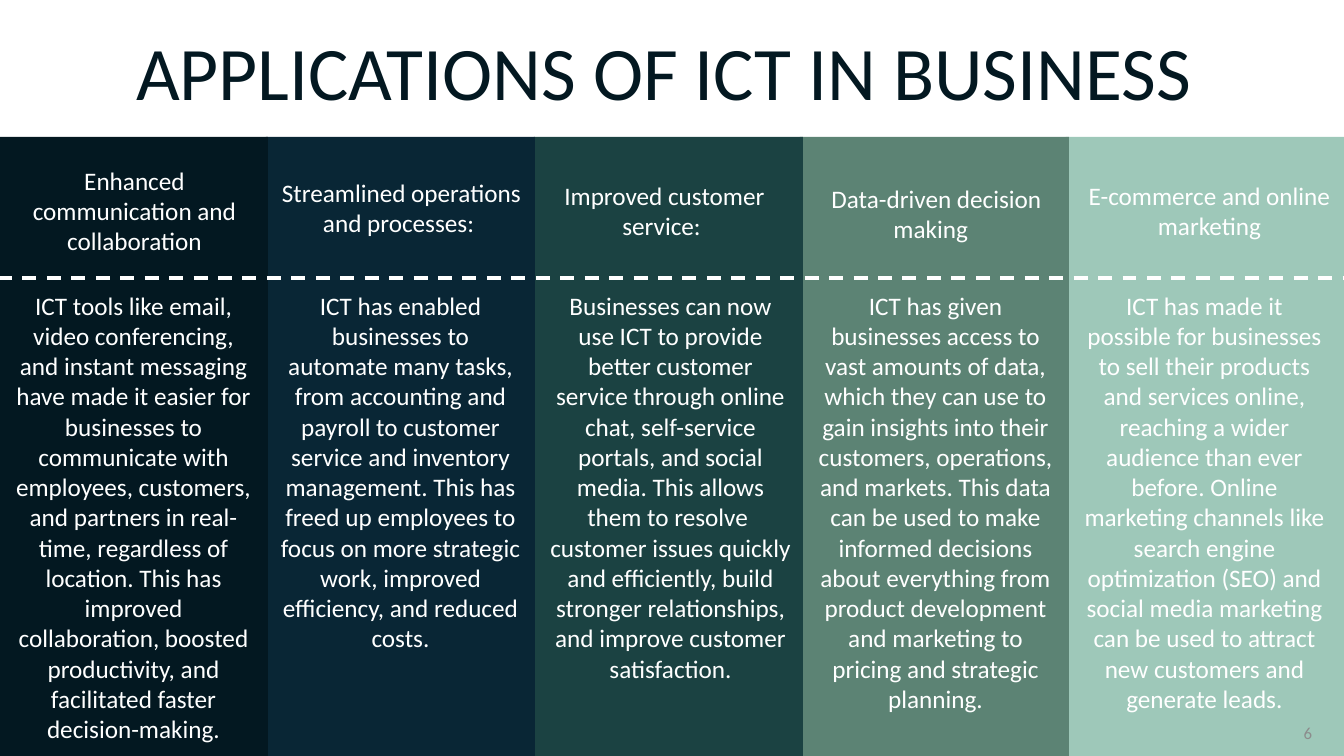
from dataclasses import dataclass

from lxml import etree
from pptx import Presentation
from pptx.dml.color import RGBColor
from pptx.enum.dml import MSO_LINE
from pptx.enum.shapes import MSO_CONNECTOR, MSO_SHAPE
from pptx.enum.text import MSO_ANCHOR, MSO_AUTO_SIZE, PP_ALIGN
from pptx.oxml.ns import qn
from pptx.util import Emu, Pt

EMU_PER_PX = 914400 / 100.8
SLIDE_WIDTH, SLIDE_HEIGHT = 1344, 756
BAND_TOP, BODY_TOP, DIVIDER_Y = 137, 285, 278
HEADING_WIDTH, BODY_WIDTH = 269, 261

COLORS = {
    "ink": "031821",
    "navy": "092635",
    "pine": "1B4242",
    "sage": "5C8374",
    "mint": "9EC8B9",
    "white": "FFFFFF",
    "gray": "8C8C8C",
}


@dataclass
class Column:
    color: str
    band: tuple  # left, width
    heading_box: tuple  # left, top, height
    heading: str
    body_box: tuple  # left, height
    body: str


COLUMNS = [
    Column("ink", (-1, 269), (0, 160, 102),
           "Enhanced communication and collaboration", (3, 468),
           "ICT tools like email, video conferencing, and instant messaging have made it "
           "easier for businesses to communicate with employees, customers, and partners in "
           "real-time, regardless of location. This has improved collaboration, boosted "
           "productivity, and facilitated faster decision-making."),
    Column("navy", (266, 269), (267, 172, 72),
           "Streamlined operations and processes: ", (270, 377),
           "ICT has enabled businesses to automate many tasks, from accounting and payroll "
           "to customer service and inventory management. This has freed up employees to "
           "focus on more strategic work, improved efficiency, and reduced costs."),
    Column("pine", (534, 269), (530, 175, 72),
           "Improved customer service: ", (540, 438),
           "Businesses can now use ICT to provide better customer service through online "
           "chat, self-service portals, and social media. This allows them to "
           "resolve  customer issues quickly and efficiently, build stronger relationships, "
           "and improve customer satisfaction."),
    Column("sage", (800, 269), (802, 178, 72),
           "Data-driven decision making  ", (805, 438),
           "ICT has given businesses access to vast amounts of data, which they can use to "
           "gain insights into their customers, operations, and markets. This data can be "
           "used to make informed decisions about everything from product development and "
           "marketing to pricing and strategic planning."),
    Column("mint", (1066, 279), (1075, 175, 72),
           "E-commerce and online marketing", (1074, 468),
           "ICT has made it possible for businesses to sell their products and services "
           "online, reaching a wider audience than ever before. Online marketing channels "
           "like search engine optimization (SEO) and social media marketing can be used to "
           "attract new customers and generate leads."),
]


def px(value):
    return Emu(round(value * EMU_PER_PX))


def rgb(name):
    return RGBColor.from_string(COLORS[name])


def apply_format(target, values):
    for name, value in values.items():
        setattr(target, name, value)


class SlideBuilder:
    font_name = "Calibri"

    def __init__(self, slide):
        self.slide = slide

    def band(self, box, color):
        shape = self.slide.shapes.add_shape(MSO_SHAPE.RECTANGLE, *map(px, box))
        shape.shadow.inherit = False
        shape.fill.solid()
        shape.fill.fore_color.rgb = rgb(color)
        shape.line.fill.background()

    def text(self, box, words, size=18, color="white", align=PP_ALIGN.CENTER,
             anchor=MSO_ANCHOR.TOP, auto_size=MSO_AUTO_SIZE.SHAPE_TO_FIT_TEXT):
        frame = self.slide.shapes.add_textbox(*map(px, box)).text_frame
        apply_format(frame, {"word_wrap": True, "vertical_anchor": anchor,
                             "auto_size": auto_size})
        paragraph = frame.paragraphs[0]
        paragraph.alignment = align
        run = paragraph.add_run()
        run.text = words
        apply_format(run.font, {"name": self.font_name, "size": Pt(size)})
        run.font.color.rgb = rgb(color)

    def dashed_line(self, start, end, color):
        line = self.slide.shapes.add_connector(
            MSO_CONNECTOR.STRAIGHT, *map(px, start + end))
        apply_format(line.line, {"width": Pt(2.5), "dash_style": MSO_LINE.DASH})
        line.line.color.rgb = rgb(color)
        etree.SubElement(line._element.spPr, qn("a:effectLst"))


def main():
    presentation = Presentation()
    apply_format(presentation, {"slide_width": px(SLIDE_WIDTH),
                                "slide_height": px(SLIDE_HEIGHT)})
    builder = SlideBuilder(presentation.slides.add_slide(presentation.slide_layouts[6]))

    # Right to left, so that each band overlaps the one after it
    for column in reversed(COLUMNS):
        left, width = column.band
        builder.band((left, BAND_TOP, width, SLIDE_HEIGHT - BAND_TOP), column.color)

    builder.text((51, 28, 1226, 85), "APPLICATIONS OF ICT IN BUSINESS", size=54,
                 color="ink", anchor=MSO_ANCHOR.MIDDLE, auto_size=MSO_AUTO_SIZE.NONE)
    for column in COLUMNS:
        left, top, height = column.heading_box
        builder.text((left, top, HEADING_WIDTH, height), column.heading)
        left, height = column.body_box
        builder.text((left, BODY_TOP, BODY_WIDTH, height), column.body)

    builder.dashed_line((-2, DIVIDER_Y), (SLIDE_WIDTH, DIVIDER_Y), "white")
    builder.text((1273, 713, 49, 40), "6", size=12, color="gray", align=PP_ALIGN.RIGHT,
                 anchor=MSO_ANCHOR.MIDDLE, auto_size=MSO_AUTO_SIZE.NONE)
    presentation.save("out.pptx")


if __name__ == "__main__":
    main()
